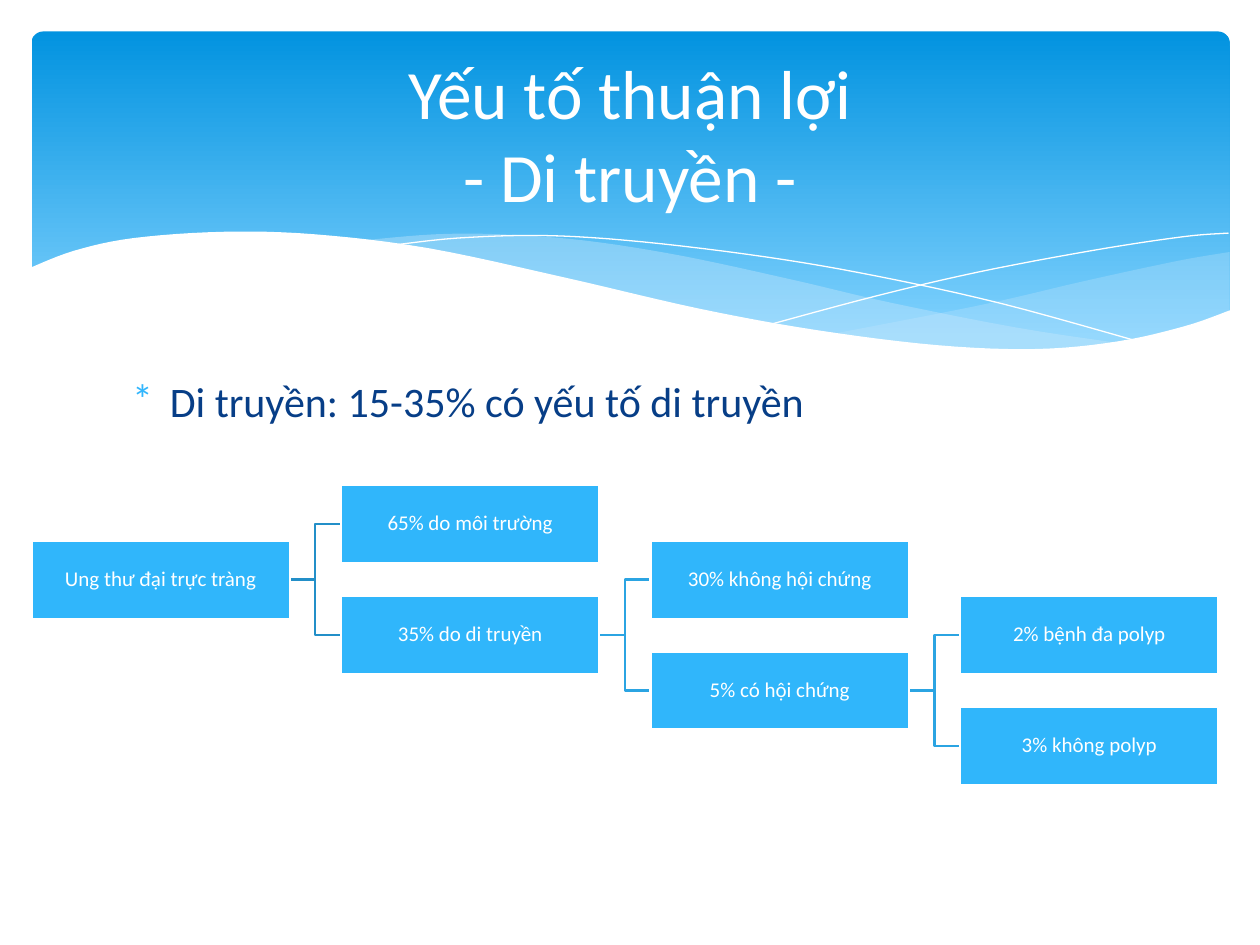
from lxml import etree
from pptx import Presentation
from pptx import util as u
from pptx.dml.color import RGBColor
from pptx.enum import shapes, text
from pptx.oxml import ns

Inches, Pt = u.Inches, u.Pt
FONT = "Calibri"
COLORS = {
    "white": "FFFFFF", "band_top": "0293E0", "band_bottom": "81D2FE",
    "wave": "C6E7FC", "bullet": "31B6FD", "body": "073E87",
    "box": "30B6FB", "first_link": "238FC8", "link": "2BA4E2",
}
# Knots of the waves, in inches from the top left corner of the band.
RIGHT_WAVE_TOP = [(6.36, 2.4), (7.54, 2.17), (8.36, 1.98), (9.1, 1.82), (9.51, 1.75)]
RIGHT_WAVE_BOTTOM = [(9.51, 2.22), (8.96, 2.4), (8.38, 2.5), (7.78, 2.53),
                     (7.2, 2.5), (6.36, 2.4)]
LEFT_WAVE_TOP = [(8.68, 2.48), (7.82, 2.35), (6.81, 2.15), (6.04, 1.97), (5.16, 1.78),
                 (4.4, 1.66), (3.74, 1.61), (3.19, 1.61), (2.61, 1.66)]
LEFT_WAVE_BOTTOM = [(2.61, 1.66), (3.37, 1.78), (4.24, 1.97), (5.41, 2.23), (6.4, 2.41),
                    (7.23, 2.51), (7.93, 2.53), (8.42, 2.51), (8.68, 2.48)]
FALLING_LINE = [(2.84, 1.7), (3.38, 1.64), (4.08, 1.62), (4.85, 1.67), (5.83, 1.79),
                (6.7, 1.94), (7.7, 2.16), (8.82, 2.47)]
RISING_LINE = [(5.88, 2.32), (6.7, 2.1), (7.51, 1.91), (8.41, 1.74), (9.13, 1.63), (9.5, 1.6)]
COVER_TOP = [(-0.02, 1.88), (0.34, 1.74), (0.81, 1.64), (1.52, 1.59), (2.25, 1.61),
             (3.15, 1.72), (4.22, 1.95), (5.3, 2.2), (6.23, 2.37), (7.19, 2.49),
             (7.98, 2.52), (8.62, 2.46), (9.15, 2.34), (9.52, 2.21)]
COVER_CORNERS = [(9.52, 3.04), (-0.02, 3.04)]
# Text, column, row and parent of each box in the tree.
NODES = [
    ("Ung thư đại trực tràng", 0, 1, None),
    ("65% do môi trường", 1, 0, 0),
    ("35% do di truyền", 1, 2, 0),
    ("30% không hội chứng", 2, 1, 2),
    ("5% có hội chứng", 2, 3, 2),
    ("2% bệnh đa polyp", 3, 2, 4),
    ("3% không polyp", 3, 4, 4),
]


def color(name):
    return RGBColor.from_string(COLORS[name])


def add_run(paragraph, words, size, color_name):
    run = paragraph.add_run()
    run.text = words
    run.font.name = FONT
    run.font.size = Pt(size)
    run.font.color.rgb = color(color_name)


def smooth(knots, steps=6):
    """Points on a Catmull-Rom curve through the knots."""
    padded = [knots[0], *knots, knots[-1]]
    points = [knots[0]]
    for a, b, c, d in zip(padded, padded[1:], padded[2:], padded[3:]):
        for step in range(1, steps + 1):
            t = step / steps
            points.append(tuple(
                (2 * q + (r - p) * t + (2 * p - 5 * q + 4 * r - s) * t ** 2
                 + (3 * q - p - 3 * r + s) * t ** 3) / 2
                for p, q, r, s in zip(a, b, c, d)))
    return points


def add_wave(slide, left, top, points, closed=True):
    scaled = [(left + Inches(x), top + Inches(y)) for x, y in points]
    builder = slide.shapes.build_freeform(*scaled[0], scale=1.0)
    builder.add_line_segments(scaled[1:], close=closed)
    wave = builder.convert_to_shape()
    wave.shadow.inherit = False
    return wave


def fill_wave(wave, color_name, opacity=100):
    wave.fill.solid()
    wave.fill.fore_color.rgb = color(color_name)
    wave.line.fill.background()
    if opacity < 100:
        fill_color = wave.fill._xPr.find(ns.qn("a:solidFill"))[0]
        etree.SubElement(fill_color, ns.qn("a:alpha"), val=str(opacity * 1000))


def add_band(slide, left, top, width, height):
    band = slide.shapes.add_shape(shapes.MSO_SHAPE.ROUNDED_RECTANGLE, left, top, width, height)
    band.adjustments[0] = 0.034
    band.shadow.inherit = False
    band.line.fill.background()
    band.fill.gradient()
    band.fill.gradient_angle = 270
    stops = zip(band.fill.gradient_stops, ("band_top", "band_bottom"), (0, 0.9))
    for stop, color_name, position in stops:
        stop.color.rgb = color(color_name)
        stop.position = position

    for upper, lower, opacity in ((RIGHT_WAVE_TOP, RIGHT_WAVE_BOTTOM, 29),
                                  (LEFT_WAVE_TOP, LEFT_WAVE_BOTTOM, 40)):
        # The lower edge runs back to where the upper edge starts.
        wave = add_wave(slide, left, top, smooth(upper) + smooth(lower))
        fill_wave(wave, "wave", opacity)
    for knots in (FALLING_LINE, RISING_LINE):
        line = add_wave(slide, left, top, smooth(knots), closed=False)
        line.fill.background()
        line.line.color.rgb = color("white")
        line.line.width = Pt(0.75)
    fill_wave(add_wave(slide, left, top, smooth(COVER_TOP) + COVER_CORNERS), "white")


def place_title(slide, left, top, width, height):
    title = slide.shapes.title
    title.left, title.top, title.width, title.height = left, top, width, height
    slide.shapes.element.append(title.element)  # bring in front of the band
    frame = title.text_frame
    frame.auto_size = text.MSO_AUTO_SIZE.NONE
    frame.vertical_anchor = text.MSO_ANCHOR.MIDDLE
    paragraph = frame.paragraphs[0]
    paragraph.alignment = text.PP_ALIGN.CENTER
    add_run(paragraph, "Yếu tố thuận lợi", 39.6, "white")
    paragraph.add_line_break()
    add_run(paragraph, "- Di truyền -", 39.6, "white")


def add_body(slide, left, top, width, height):
    frame = slide.shapes.add_textbox(left, top, width, height).text_frame
    frame.word_wrap = True
    paragraph = frame.paragraphs[0]
    properties = paragraph._p.get_or_add_pPr()
    properties.set("marL", str(Inches(0.3)))
    properties.set("indent", str(Inches(-0.3)))
    bullet_color = etree.SubElement(properties, ns.qn("a:buClr"))
    etree.SubElement(bullet_color, ns.qn("a:srgbClr"), val=COLORS["bullet"])
    etree.SubElement(properties, ns.qn("a:buFont"), typeface=FONT)
    etree.SubElement(properties, ns.qn("a:buChar"), char="*")
    add_run(paragraph, "Di truyền: 15-35% có yếu tố di truyền", 24, "body")


def add_node(slide, words, left, top, width, height):
    node = slide.shapes.add_shape(shapes.MSO_SHAPE.RECTANGLE, left, top, width, height)
    node.shadow.inherit = False
    node.fill.solid()
    node.fill.fore_color.rgb = color("box")
    node.line.color.rgb = color("white")
    node.line.width = Pt(1.25)
    frame = node.text_frame
    frame.word_wrap = True
    frame.vertical_anchor = text.MSO_ANCHOR.MIDDLE
    frame.margin_left = frame.margin_right = Inches(0.01)
    frame.margin_top = frame.margin_bottom = Inches(0.01)
    paragraph = frame.paragraphs[0]
    paragraph.alignment = text.PP_ALIGN.CENTER
    paragraph.line_spacing = 0.9
    add_run(paragraph, words, 12, "white")
    return node


def add_link(slide, parent, child, color_name):
    link = slide.shapes.add_connector(shapes.MSO_CONNECTOR.ELBOW, 0, 0, 0, 0)
    link.begin_connect(parent, 3)
    link.end_connect(child, 1)
    link.line.color.rgb = color(color_name)
    link.line.width = Pt(1.25)
    etree.SubElement(link._element.spPr, ns.qn("a:effectLst"))


def add_tree(slide, left, top, width, height):
    box_width, box_height = Inches(2.05), Inches(0.62)
    column_step = (width - box_width) // max(column for _, column, _, _ in NODES)
    row_step = (height - box_height) // max(row for _, _, row, _ in NODES)
    boxes = [add_node(slide, words, left + column * column_step, top + row * row_step,
                      box_width, box_height)
             for words, column, row, _ in NODES]
    for box, (_, _, _, parent) in zip(boxes, NODES):
        if parent is not None:
            add_link(slide, boxes[parent], box, "link" if parent else "first_link")
    for box in boxes:  # keep the boxes in front of the links
        slide.shapes.element.append(box._element)


def main():
    presentation = Presentation()
    presentation.slide_width, presentation.slide_height = Inches(10), Inches(7.5)
    slide = presentation.slides.add_slide(presentation.slide_layouts[5])
    add_band(slide, Inches(0.25), Inches(0.25), Inches(9.51), Inches(2.7))
    add_body(slide, Inches(0.95), Inches(2.93), Inches(8.1), Inches(3.77))
    place_title(slide, Inches(0.5), Inches(0.37), Inches(9), Inches(1.37))
    add_tree(slide, Inches(0.25), Inches(3.85), Inches(9.42), Inches(2.38))
    presentation.save("out.pptx")


if __name__ == "__main__":
    main()
